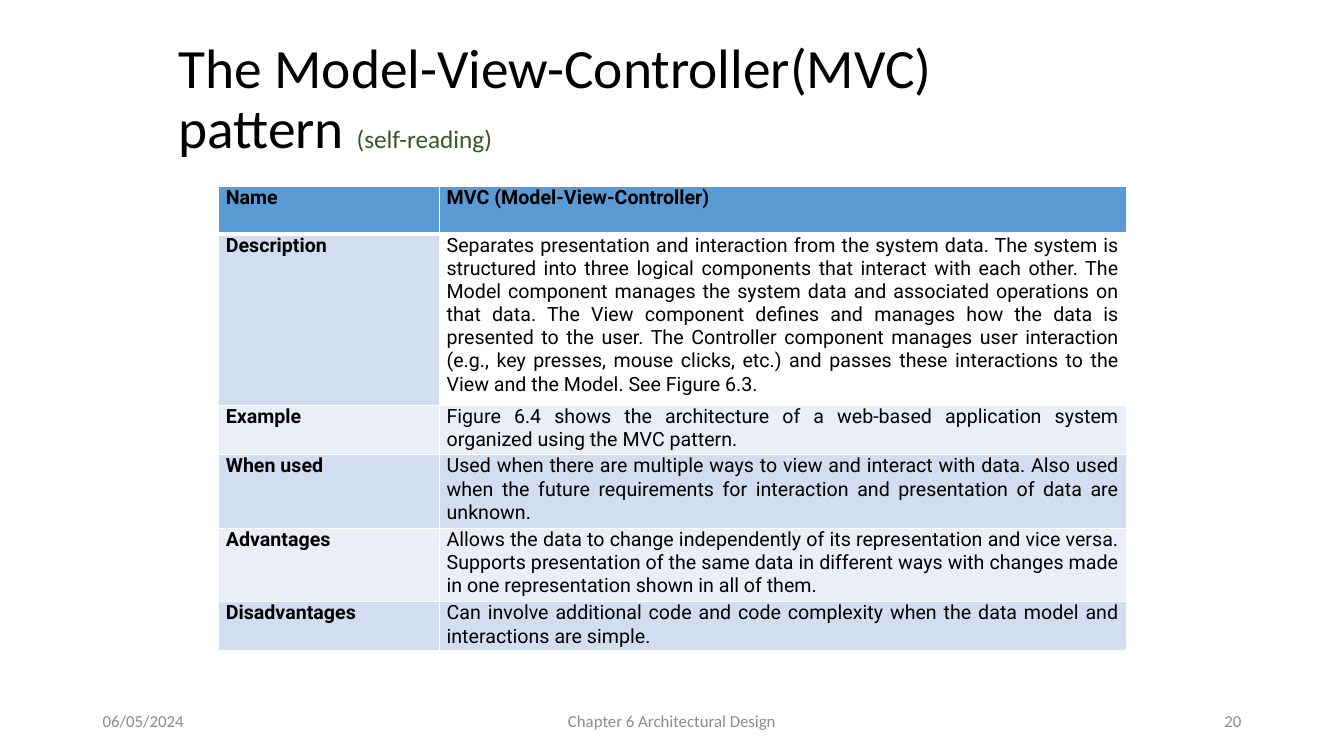
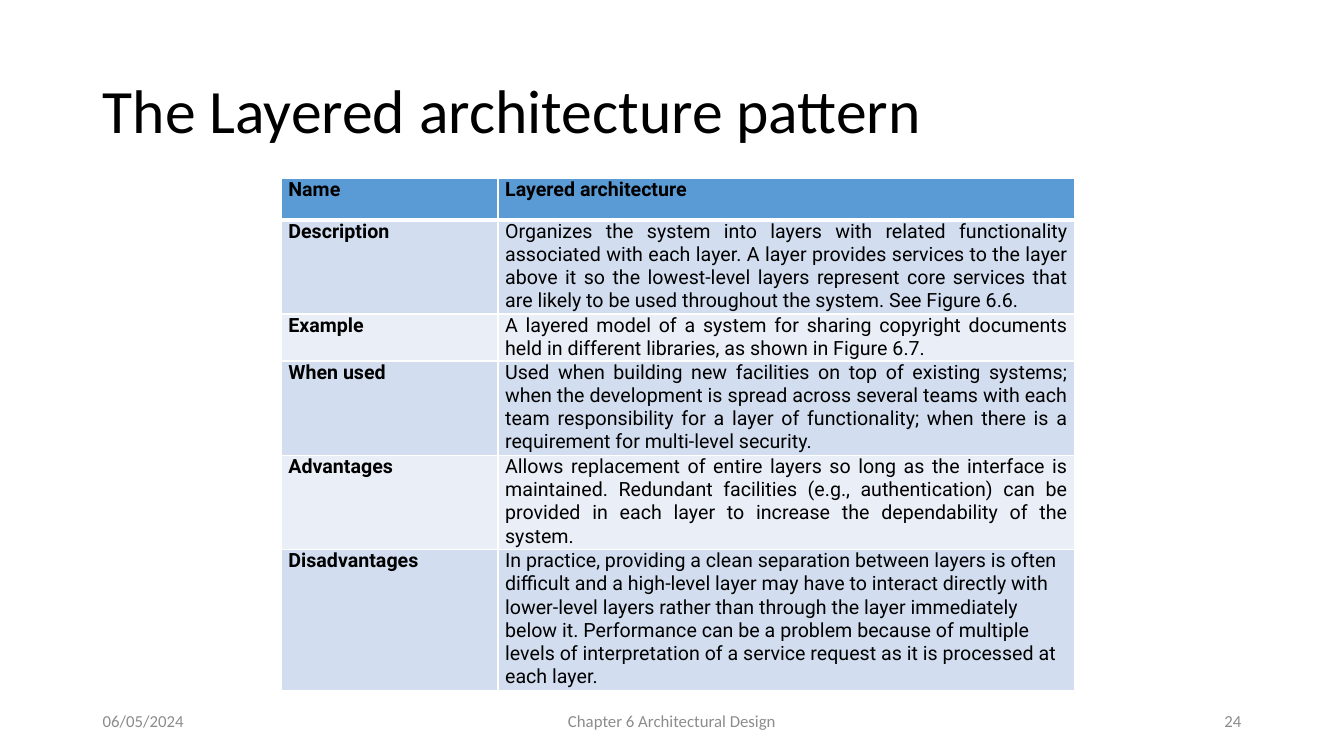
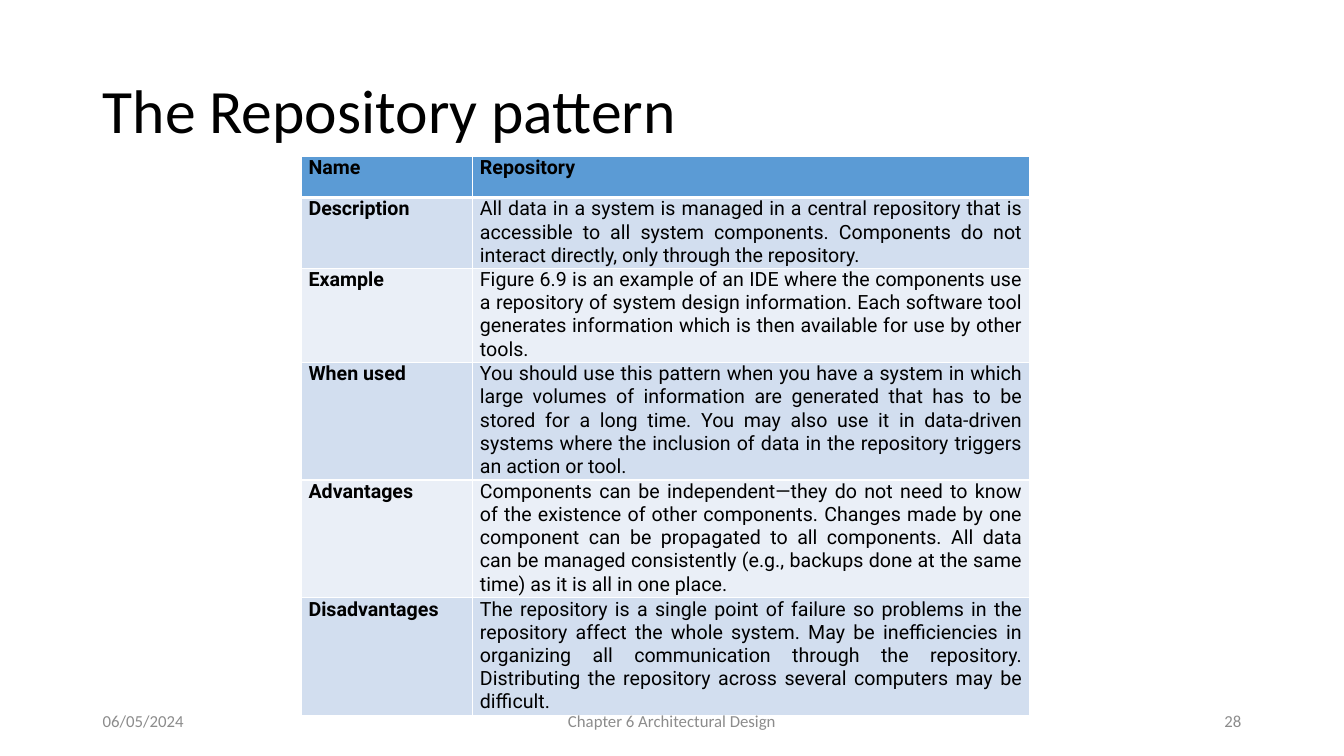
from lxml import etree
from pptx import Presentation
from pptx.dml.color import RGBColor
from pptx.enum.text import MSO_ANCHOR, PP_ALIGN
from pptx.oxml.ns import qn
from pptx.util import Inches, Pt

LEFT, CENTER, RIGHT = PP_ALIGN.LEFT, PP_ALIGN.CENTER, PP_ALIGN.RIGHT
JUSTIFY = PP_ALIGN.JUSTIFY
MIDDLE = MSO_ANCHOR.MIDDLE

WIDTH, HEIGHT = 13.33, 7.5
MARGIN = 0.92
INNER = WIDTH - 2 * MARGIN
FOOT_TOP, FOOT_HIGH = 6.95, 0.4
LINE = 0.23
HEAD_ROW = 0.41

BLACK, WHITE, GRAY, GREEN = "000000", "FFFFFF", "8C8C8C", "385723"
HEAD, DARK, LIGHT = "5B9BD5", "D2DEEF", "EAEFF7"
SANS, GRID_FONT = "Calibri", "Roboto"

DATE = "06/05/2024"
CHAPTER = "Chapter 6 Architectural Design"
LABELS = ["Name", "Description", "Example", "When used", "Advantages",
          "Disadvantages"]

MVC = [
    "MVC (Model-View-Controller)",
    "Separates presentation and interaction from the system data. The system "
    "is structured into three logical components that interact with each "
    "other. The Model component manages the system data and associated "
    "operations on that data. The View component defines and manages how the "
    "data is presented to the user. The Controller component manages user "
    "interaction (e.g., key presses, mouse clicks, etc.) and passes these "
    "interactions to the View and the Model. See Figure 6.3.",
    "Figure 6.4 shows the architecture of a web-based application system "
    "organized using the MVC pattern.",
    "Used when there are multiple ways to view and interact with data. Also "
    "used when the future requirements for interaction and presentation of "
    "data are unknown.",
    "Allows the data to change independently of its representation and vice "
    "versa. Supports presentation of the same data in different ways with "
    "changes made in one representation shown in all of them.",
    "Can involve additional code and code complexity when the data model and "
    "interactions are simple.",
]
LAYERS = [
    "Layered architecture",
    "Organizes the system into layers with related functionality associated "
    "with each layer. A layer provides services to the layer above it so the "
    "lowest-level layers represent core services that are likely to be used "
    "throughout the system. See Figure 6.6.",
    "A layered model of a system for sharing copyright documents held in "
    "different libraries, as shown in Figure 6.7.",
    "Used when building new facilities on top of existing systems; when the "
    "development is spread across several teams with each team "
    "responsibility for a layer of functionality; when there is a "
    "requirement for multi-level security.",
    "Allows replacement of entire layers so long as the interface is "
    "maintained. Redundant facilities (e.g., authentication) can be provided "
    "in each layer to increase the dependability of the system.",
    "In practice, providing a clean separation between layers is often "
    "difficult and a high-level layer may have to interact directly with "
    "lower-level layers rather than through the layer immediately below it. "
    "Performance can be a problem because of multiple levels of "
    "interpretation of a service request as it is processed at each layer.",
]
STORE = [
    "Repository",
    "All data in a system is managed in a central repository that is "
    "accessible to all system components. Components do not interact "
    "directly, only through the repository.",
    "Figure 6.9 is an example of an IDE where the components use a "
    "repository of system design information. Each software tool generates "
    "information which is then available for use by other tools.",
    "You should use this pattern when you have a system in which large "
    "volumes of information are generated that has to be stored for a long "
    "time. You may also use it in data-driven systems where the inclusion of "
    "data in the repository triggers an action or tool.",
    "Components can be independent—they do not need to know of the existence "
    "of other components. Changes made by one component can be propagated to "
    "all components. All data can be managed consistently (e.g., backups "
    "done at the same time) as it is all in one place.",
    "The repository is a single point of failure so problems in the "
    "repository affect the whole system. May be inefficiencies in organizing "
    "all communication through the repository. Distributing the repository "
    "across several computers may be difficult.",
]


def color(code):
    return RGBColor.from_string(code)


def style(run, size, code=BLACK, face=SANS, bold=False):
    run.font.size = Pt(size)
    run.font.name = face
    run.font.bold = bold
    run.font.color.rgb = color(code)


def add_text(slide, box, text, size, code=BLACK, align=LEFT):
    """Add a middle-anchored text box and return its paragraph."""
    frame = slide.shapes.add_textbox(*map(Inches, box)).text_frame
    frame.word_wrap = True
    frame.vertical_anchor = MIDDLE
    frame.text = text
    para = frame.paragraphs[0]
    para.alignment = align
    style(para.runs[0], size, code)
    return para


def add_title(slide, text, size=44, box=(MARGIN, 0.4, INNER, 1.45)):
    para = add_text(slide, box, text, size)
    para.line_spacing = 0.9
    return para


def add_footer(slide, number):
    for left, wide, text, align in (
            (MARGIN, 3, DATE, LEFT),
            ((WIDTH - 4.5) / 2, 4.5, CHAPTER, CENTER),
            (WIDTH - MARGIN - 3, 3, number, RIGHT)):
        add_text(slide, (left, FOOT_TOP, wide, FOOT_HIGH), text, 12, GRAY,
                 align)


def add_borders(cell, base):
    """Draw white cell edges, with the bottom one base points wide."""
    props = cell._tc.get_or_add_tcPr()
    edges = (("lnL", 1), ("lnR", 1), ("lnT", 1), ("lnB", base))
    for spot, (tag, width) in enumerate(edges):
        edge = etree.Element(qn("a:" + tag), w=str(Pt(width)))
        fill = etree.SubElement(edge, qn("a:solidFill"))
        etree.SubElement(fill, qn("a:srgbClr"), val=WHITE)
        props.insert(spot, edge)


def fill_cell(cell, text, fill, bold, base):
    cell.margin_left = cell.margin_right = Inches(0.07)
    cell.margin_top = cell.margin_bottom = 0
    cell.fill.solid()
    cell.fill.fore_color.rgb = color(fill)
    add_borders(cell, base)
    cell.text_frame.text = text
    para = cell.text_frame.paragraphs[0]
    para.alignment = JUSTIFY
    style(para.runs[0], 14, face=GRID_FONT, bold=bold)


def add_grid(slide, left, top, cols, rows, texts):
    """Add a pattern table: labels on the left, texts on the right."""
    table = slide.shapes.add_table(
        len(rows), len(cols), Inches(left), Inches(top),
        Inches(sum(cols)), Inches(sum(rows))).table
    table.first_row = table.horz_banding = False
    for col, wide in zip(table.columns, cols):
        col.width = Inches(wide)
    for i, (row, high) in enumerate(zip(table.rows, rows)):
        row.height = Inches(high)
        fill = HEAD if i == 0 else DARK if i % 2 else LIGHT
        base = 3 if i == 0 else 1
        fill_cell(row.cells[0], LABELS[i], fill, True, base)
        fill_cell(row.cells[1], texts[i], fill, i == 0, base)
    return table


def line_rows(*counts):
    """Row heights for a header and body rows of so many text lines."""
    return [HEAD_ROW] + [LINE * count for count in counts]


def main():
    deck = Presentation()
    deck.slide_width, deck.slide_height = Inches(WIDTH), Inches(HEIGHT)
    blank = deck.slide_layouts[6]

    slide = deck.slides.add_slide(blank)
    title = add_title(slide, "The Model-View-Controller(MVC) pattern ", 39.6,
                      (1.67, 0.37, 8.71, 1.25))
    note = title.add_run()
    note.text = "(self-reading)"
    style(note, 18, GREEN)
    table = add_grid(slide, 2.17, 1.85, (2.19, 6.81),
                     (0.47, 1.7, 0.49, 0.73, 0.73, 0.49), MVC)
    table.cell(1, 1).fill.fore_color.rgb = color(WHITE)
    add_footer(slide, "20")

    slide = deck.slides.add_slide(blank)
    add_title(slide, "The Layered architecture pattern")
    table = add_grid(slide, 2.79, 1.77, (2.15, 5.72),
                     line_rows(4, 2, 4, 4, 6), LAYERS)
    table.cell(5, 1).text_frame.paragraphs[0].alignment = LEFT
    add_footer(slide, "24")

    slide = deck.slides.add_slide(blank)
    add_title(slide, "The Repository pattern")
    add_grid(slide, 2.99, 1.55, (1.7, 5.52), line_rows(3, 4, 5, 5, 5), STORE)
    add_footer(slide, "28")

    deck.save("out.pptx")


if __name__ == "__main__":
    main()
